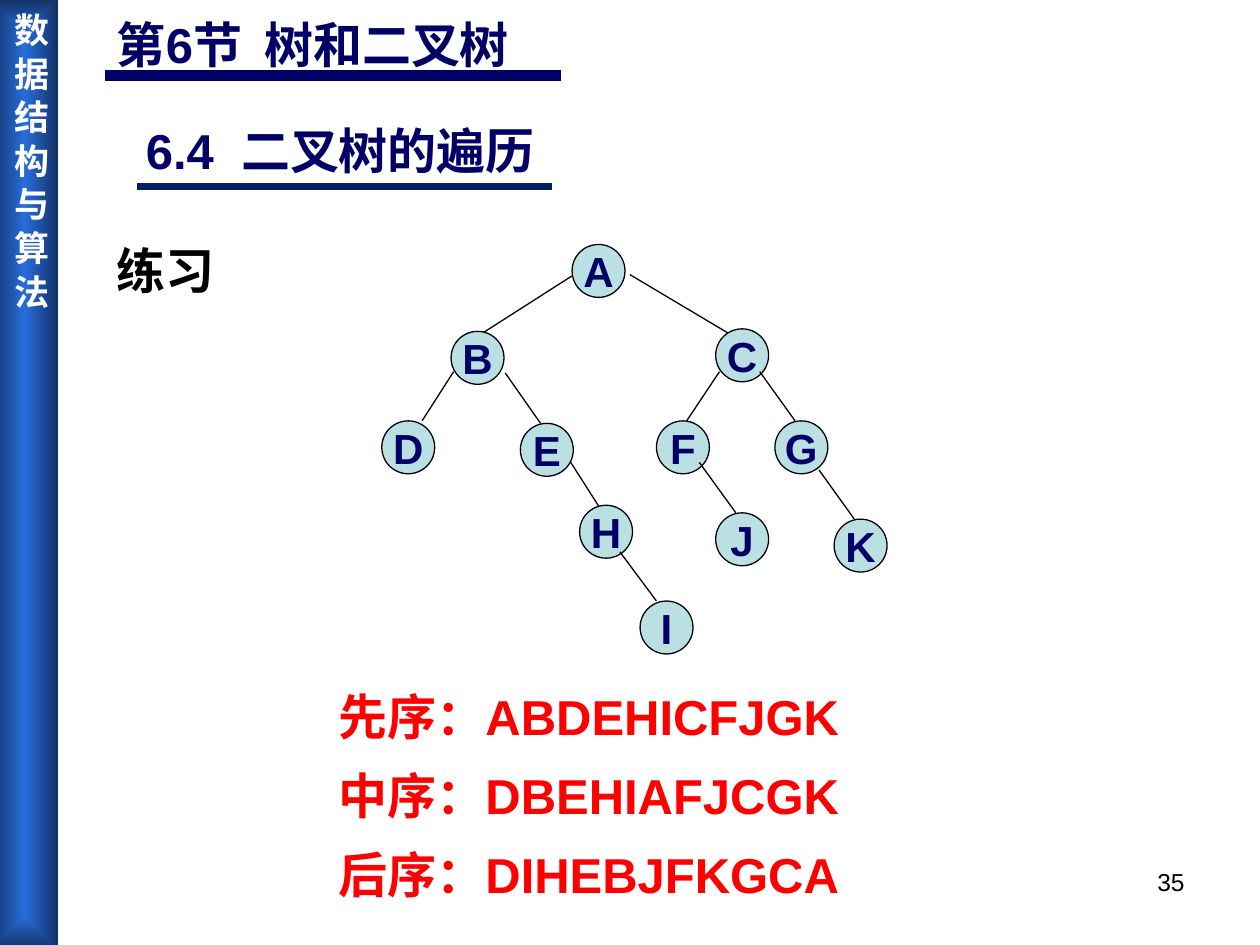
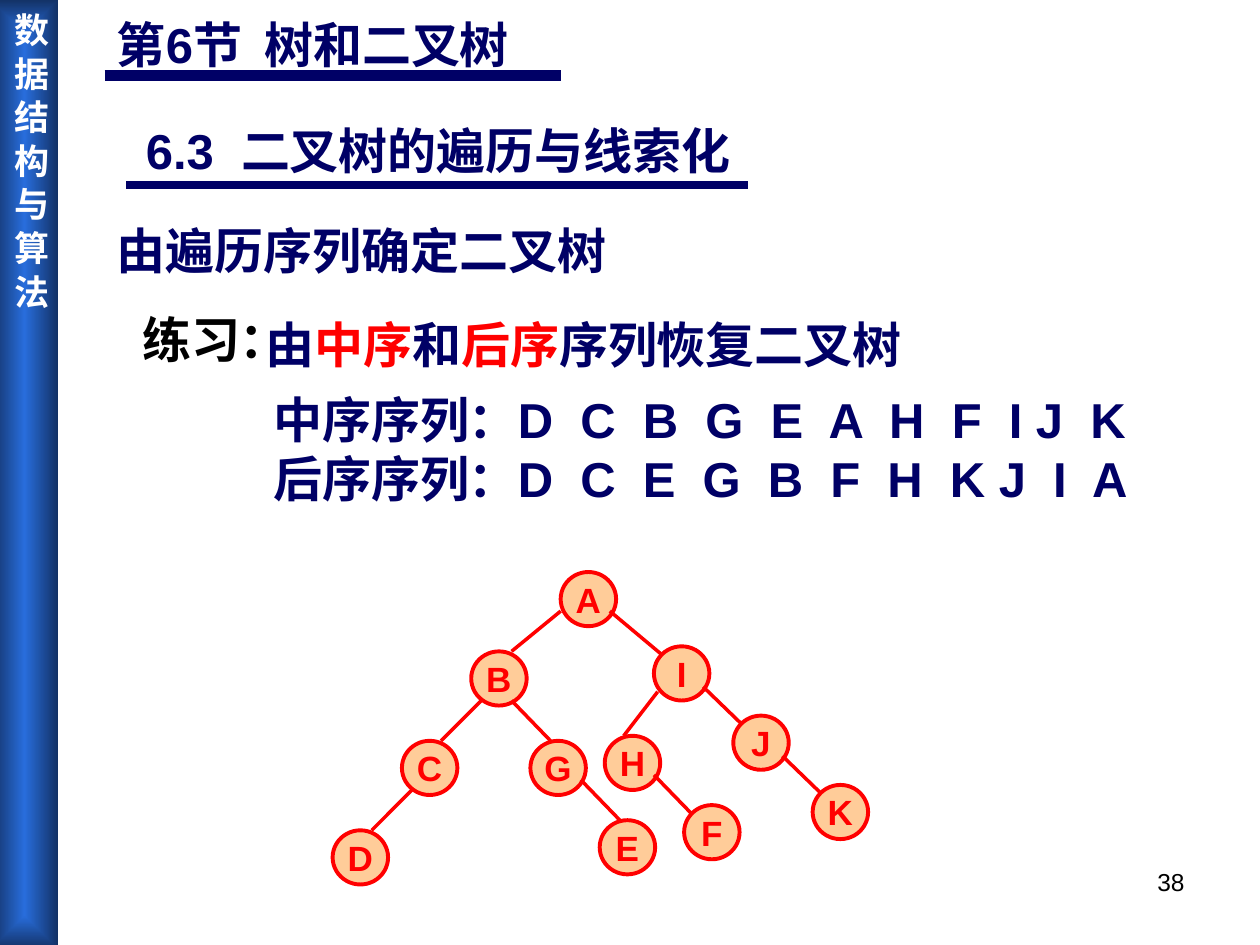
from collections import namedtuple
from lxml.etree import SubElement
from pptx import Presentation
from pptx.dml.color import RGBColor
from pptx.enum.shapes import MSO_CONNECTOR, MSO_SHAPE
from pptx.enum.text import MSO_ANCHOR, PP_ALIGN
from pptx.oxml.ns import qn
from pptx.util import Pt

SCALE = 9144
LATIN = "Arial"
HAN = "Noto Sans CJK SC"
NAVY = RGBColor(0x00, 0x00, 0x66)
DEEP = RGBColor(0x00, 0x20, 0x60)
BLACK = RGBColor(0x00, 0x00, 0x00)
WHITE = RGBColor(0xFF, 0xFF, 0xFF)
RED = RGBColor(0xFF, 0x00, 0x00)
AQUA = RGBColor(0xBB, 0xE0, 0xE3)
PEACH = RGBColor(0xFF, 0xCC, 0x99)
BRIGHT = RGBColor(0x28, 0x6D, 0xDC)
DARK = RGBColor(0x13, 0x32, 0x66)

Style = namedtuple("Style", "width height fill line rim edge ink size")
COOL = Style(42, 42, AQUA, BLACK, 0.75, 0.75, NAVY, 24)
WARM = Style(44, 43, PEACH, RED, 2.25, 2, RED, 20)

FIRST = [
    ("A", 454, 194, None),
    ("B", 358, 263, (454, 219, 382, 265)),
    ("D", 303, 334, (360, 295, 335, 334)),
    ("E", 413, 336, (401, 296, 429, 336)),
    ("H", 460, 401, (453, 367, 476, 403)),
    ("I", 508, 477, (492, 438, 521, 477)),
    ("C", 568, 261, (500, 218, 579, 265)),
    ("F", 521, 334, (571, 295, 545, 334)),
    ("J", 568, 407, (555, 367, 584, 407)),
    ("G", 615, 334, (603, 295, 631, 334)),
    ("K", 662, 412, (650, 373, 678, 412)),
]
SECOND = [
    ("A", 445, 454, None),
    ("I", 519, 513, (484, 485, 527, 521)),
    ("J", 582, 568, (558, 545, 590, 576)),
    ("K", 645, 623, (621, 600, 653, 631)),
    ("H", 480, 584, (522, 549, 495, 584)),
    ("F", 543, 639, (519, 615, 550, 647)),
    ("B", 374, 517, (445, 485, 406, 517)),
    ("G", 421, 588, (406, 556, 437, 588)),
    ("E", 476, 651, (461, 619, 492, 651)),
    ("C", 319, 588, (382, 556, 350, 588)),
    ("D", 264, 659, (327, 627, 295, 659)),
]


def px(*sizes):
    return [size * SCALE for size in sizes]


def set_font(run, size, ink, bold=True, face=LATIN):
    font = run.font
    font.size = Pt(size)
    font.bold = bold
    font.name = face
    font.color.rgb = ink
    SubElement(run._r.get_or_add_rPr(), qn("a:ea")).set("typeface", HAN)


def add_text(slide, box, text, ink=NAVY, size=28, bold=True, wrap=True):
    frame = slide.shapes.add_textbox(*px(*box)).text_frame
    frame.word_wrap = wrap
    para = frame.paragraphs[0]
    para.text = text
    set_font(para.runs[0], size, ink, bold)
    return para


def add_mixed(slide, box, parts):
    frame = slide.shapes.add_textbox(*px(*box)).text_frame
    frame.word_wrap = True
    para = frame.paragraphs[0]
    para.line_spacing = 1.25
    for text, ink in parts:
        run = para.add_run()
        run.text = text
        set_font(run, 28, ink)


def add_line(slide, ends, ink, width):
    line = slide.shapes.add_connector(MSO_CONNECTOR.STRAIGHT, *px(*ends))
    line.line.color.rgb = ink
    line.line.width = Pt(width)
    SubElement(line._element.spPr, qn("a:effectLst"))


def add_node(slide, label, left, top, style):
    node = slide.shapes.add_shape(
        MSO_SHAPE.OVAL, *px(left, top, style.width, style.height))
    node.shadow.inherit = False
    node.fill.solid()
    node.fill.fore_color.rgb = style.fill
    node.line.color.rgb = style.line
    node.line.width = Pt(style.rim)
    frame = node.text_frame
    frame.word_wrap = False
    frame.vertical_anchor = MSO_ANCHOR.MIDDLE
    frame.text = label
    para = frame.paragraphs[0]
    para.alignment = PP_ALIGN.CENTER
    set_font(para.runs[0], style.size, style.ink)


def add_tree(slide, nodes, style):
    for label, left, top, edge in nodes:
        if edge:
            add_line(slide, edge, style.line, style.edge)
        add_node(slide, label, left, top, style)


def add_band(slide):
    band = slide.shapes.add_shape(MSO_SHAPE.RECTANGLE, *px(-7, 0, 53, 753))
    band.shadow.inherit = False
    band.line.fill.background()
    band.fill.gradient()
    for stop, place, color in zip(band.fill.gradient_stops, (0, 1), (BRIGHT, DARK)):
        stop.position = place
        stop.color.rgb = color
    grad = band._element.spPr.find(qn("a:gradFill"))
    grad.remove(grad.find(qn("a:lin")))
    focus = SubElement(grad, qn("a:path"), {"path": "rect"})
    SubElement(focus, qn("a:fillToRect"), dict.fromkeys("ltrb", "50000"))
    frame = band.text_frame
    frame.margin_left, frame.margin_top = px(5, 10)
    frame.margin_right, frame.margin_bottom = px(5, 10)
    frame.vertical_anchor = MSO_ANCHOR.TOP
    frame.text = "数 据 结 构 与 算 法"
    frame._txBody.bodyPr.set("vert", "eaVert")
    para = frame.paragraphs[0]
    para.alignment = PP_ALIGN.CENTER
    set_font(para.runs[0], 20, WHITE, face=HAN)


def add_page(deck, number, title, width, rule, ink):
    slide = deck.slides.add_slide(deck.slide_layouts[6])
    add_band(slide)
    para = add_text(slide, (717, 683, 233, 52), number, BLACK, 14, False)
    para.alignment = PP_ALIGN.RIGHT
    add_line(slide, (83, 60, 445, 60), NAVY, 6)
    add_text(slide, (83, 7, 370, 104), "第6节  树和二叉树")
    add_text(slide, (106, 91, width, 57), title)
    add_line(slide, rule, ink, 4.25)
    return slide


def add_orders(deck):
    slide = add_page(deck, "35", "6.4  二叉树的遍历", 339, (109, 148, 438, 148), DEEP)
    add_text(slide, (83, 186, 126, 57), "练习", BLACK)
    add_tree(slide, FIRST, COOL)
    orders = ["先序：ABDEHICFJGK", "中序：DBEHIAFJCGK", "后序：DIHEBJFKGCA"]
    for top, order in zip((540, 603, 665), orders):
        add_text(slide, (259, top, 426, 57), order, RED, wrap=False)


def add_rebuild(deck):
    slide = add_page(deck, "38", "6.3  二叉树的遍历与线索化", 496,
                     (100, 147, 594, 147), NAVY)
    add_text(slide, (83, 170, 417, 57), "由遍历序列确定二叉树")
    add_mixed(slide, (201, 233, 543, 69), [
        ("由", NAVY), ("中序", RED), ("和", NAVY), ("后序", RED),
        ("序列恢复二叉树", NAVY)])
    add_text(slide, (103, 241, 136, 57), "练习：", BLACK, wrap=False)
    rows = ["中序序列：D  C  B  G  E  A  H  F  I J  K",
            "后序序列：D  C  E  G  B  F  H  K J  I  A"]
    for top, row in zip((304, 351), rows):
        add_text(slide, (207, top, 709, 57), row, wrap=False)
    add_tree(slide, SECOND, WARM)


def main():
    deck = Presentation()
    deck.slide_width, deck.slide_height = px(1000, 750)
    add_orders(deck)
    add_rebuild(deck)
    deck.save("out.pptx")


if __name__ == "__main__":
    main()
